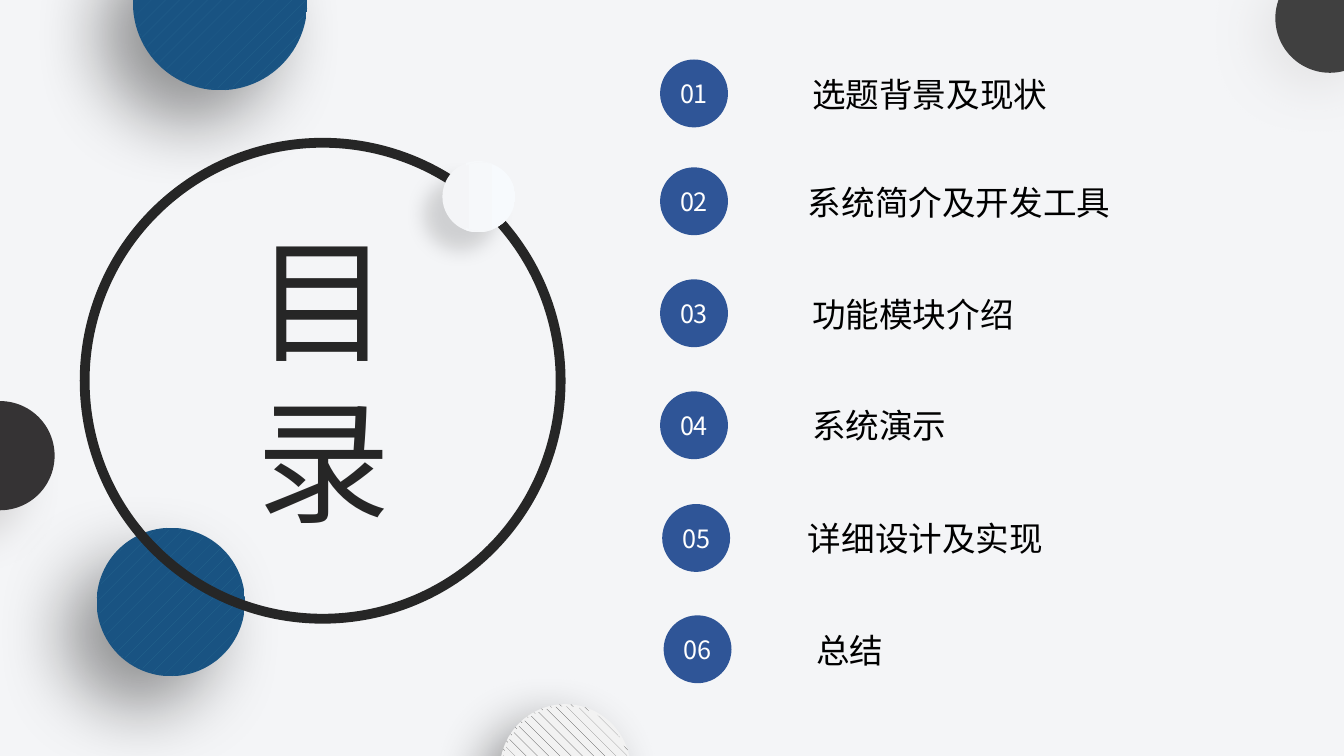
from lxml import etree
from pptx import Presentation
from pptx.dml.color import RGBColor
from pptx.enum.dml import MSO_PATTERN
from pptx.enum.shapes import MSO_SHAPE
from pptx.enum.text import MSO_ANCHOR, PP_ALIGN
from pptx.oxml.ns import qn
from pptx.util import Pt

OVAL = MSO_SHAPE.OVAL
DOTS, SHINGLE = MSO_PATTERN.PERCENT_5, MSO_PATTERN.SHINGLE
LEFT, CENTER = PP_ALIGN.LEFT, PP_ALIGN.CENTER
TOP, MIDDLE = MSO_ANCHOR.TOP, MSO_ANCHOR.MIDDLE

PAPER = RGBColor(0xF4, 0xF5, 0xF7)
PEARL = RGBColor(0xF7, 0xFA, 0xFD)
INK = RGBColor(0x26, 0x26, 0x26)
TEAL = RGBColor(0x19, 0x53, 0x82)
SKY = RGBColor(0x26, 0x68, 0x8F)
BLUE = RGBColor(0x2F, 0x55, 0x97)
GRAY = RGBColor(0x40, 0x40, 0x40)
COAL = RGBColor(0x35, 0x33, 0x34)
MIST = RGBColor(0xF2, 0xF2, 0xF2)
SMOKE = RGBColor(0xAF, 0xAB, 0xAB)
HAZE = RGBColor(0xD0, 0xCE, 0xCE)
BLACK = RGBColor(0, 0, 0)
WHITE = RGBColor(0xFF, 0xFF, 0xFF)

SANS_JP, SANS_SC = "Noto Sans CJK JP", "Noto Sans CJK SC"

# Number, text, badge left and top, label left
ITEMS = [
    ("01", "选题背景及现状", 471.5, 42.5, 573),
    ("02", "系统简介及开发工具", 471.5, 119.5, 570),
    ("03", "功能模块介绍", 471.5, 199.5, 573),
    ("04", "系统演示", 471.5, 279.5, 573),
    ("05", "详细设计及实现", 473, 360, 570),
    ("06", "总结", 474, 439.5, 576),
]


def write(shape, text, size, color, font=SANS_JP, align=LEFT, anchor=TOP,
          wrap=True, pitch=None, space=None):
    frame = shape.text_frame
    frame.word_wrap = wrap
    frame.vertical_anchor = anchor
    para = frame.paragraphs[0]
    para.alignment = align
    if pitch:
        para.line_spacing = Pt(pitch)
    run = para.add_run()
    run.text = text
    run.font.size = Pt(size)
    run.font.color.rgb = color
    run.font.name = font
    props = run.font._element
    etree.SubElement(props, qn("a:ea")).set("typeface", font)
    if space:
        props.set("spc", str(space))


def circle(shapes, x, y, size, turn=0):
    disc = shapes.add_shape(OVAL, Pt(x), Pt(y), Pt(size), Pt(size))
    disc.shadow.inherit = False
    disc.line.fill.background()
    disc.rotation = turn
    return disc


def shade(disc, color, alpha, blur, dist):
    """Cast an outer shadow to the lower left."""
    effects = disc._element.spPr.find(qn("a:effectLst"))
    cast = etree.SubElement(
        effects, qn("a:outerShdw"), blurRad=str(Pt(blur)),
        dist=str(Pt(dist)), dir="8100000", algn="tr", rotWithShape="0")
    tint = etree.SubElement(cast, qn("a:srgbClr"), val=str(color))
    etree.SubElement(tint, qn("a:alpha"), val=str(alpha * 1000))


def solid(disc, color):
    disc.fill.solid()
    disc.fill.fore_color.rgb = color


def hatch(disc, kind, fore, back):
    disc.fill.patterned()
    disc.fill.pattern = kind
    disc.fill.fore_color.rgb = fore
    disc.fill.back_color.rgb = back


def blend(disc, start, end):
    disc.fill.gradient()
    disc.fill.gradient_angle = 0
    for stop, color in zip(disc.fill.gradient_stops, (start, end)):
        stop.color.rgb = color


def ball(shapes, x, y, size, paint, args, cast, inset=(1.5, 1.5), trim=3,
         turn=0):
    """A shaded disc with a slightly smaller disc on top."""
    base = circle(shapes, x, y, size, turn)
    paint(base, *args)
    shade(base, *cast)
    face = circle(shapes, x + inset[0], y + inset[1], size - trim, turn)
    paint(face, *args)


def emblem(slide, x, y, size):
    """Title inside a ring, with a blue and a pearl ball on its edge."""
    shapes = slide.shapes
    ball(shapes, x + 8.5, y + 275, 106, hatch, (DOTS, SKY, TEAL),
         (BLACK, 40, 52, 32))
    ring = circle(shapes, x, y, size)
    ring.fill.background()
    ring.line.color.rgb = INK
    ring.line.width = Pt(7)
    title = shapes.title
    title.left, title.top = Pt(x + 113), Pt(y + 50)
    title.width, title.height = Pt(115), Pt(240)
    write(title, "目录", 96, INK, font=SANS_SC, align=CENTER, anchor=TOP,
          pitch=115, space=50)
    ball(shapes, x + 255.5, y + 13, 51, blend, (PAPER, PEARL),
         (BLACK, 14, 14, 18), inset=(3, 1), trim=2)


def edges(slide, wide, high):
    """Balls cut off by the slide borders."""
    shapes = slide.shapes
    ball(shapes, 95, -60, 124.5, hatch, (DOTS, SKY, TEAL),
         (BLACK, 40, 52, 32))
    ball(shapes, 357, high - 37, 93.5, hatch, (SHINGLE, GRAY, MIST),
         (BLACK, 40, 38, 19), turn=11.1)
    for x, y, color, cast in [(-39, 286.5, COAL, (SMOKE, 40, 27, 29)),
                              (wide - 49, -26, GRAY, (HAZE, 40, 37, 15))]:
        disc = circle(shapes, x, y, 78)
        solid(disc, color)
        shade(disc, *cast)


def entry(slide, number, text, x, y, label_x):
    """One numbered line of the agenda."""
    shapes = slide.shapes.add_group_shape().shapes
    badge = circle(shapes, x, y, 48.5)
    solid(badge, BLUE)
    frame = badge.text_frame
    frame.margin_left = frame.margin_right = 0
    write(badge, number, 18, WHITE, align=CENTER, anchor=MIDDLE, wrap=False)
    label = shapes.add_textbox(Pt(label_x), Pt(y + 6.5),
                               Pt(24 * len(text) + 15), Pt(36))
    write(label, text, 24, BLACK, anchor=MIDDLE, wrap=False)


def main():
    deck = Presentation()
    deck.slide_width, deck.slide_height = Pt(960), Pt(540)
    slide = deck.slides.add_slide(deck.slide_layouts[5])
    solid(slide.background, PAPER)
    emblem(slide, 60.5, 102, 340)
    edges(slide, 960, 540)
    for item in ITEMS:
        entry(slide, *item)
    deck.save("out.pptx")


main()
